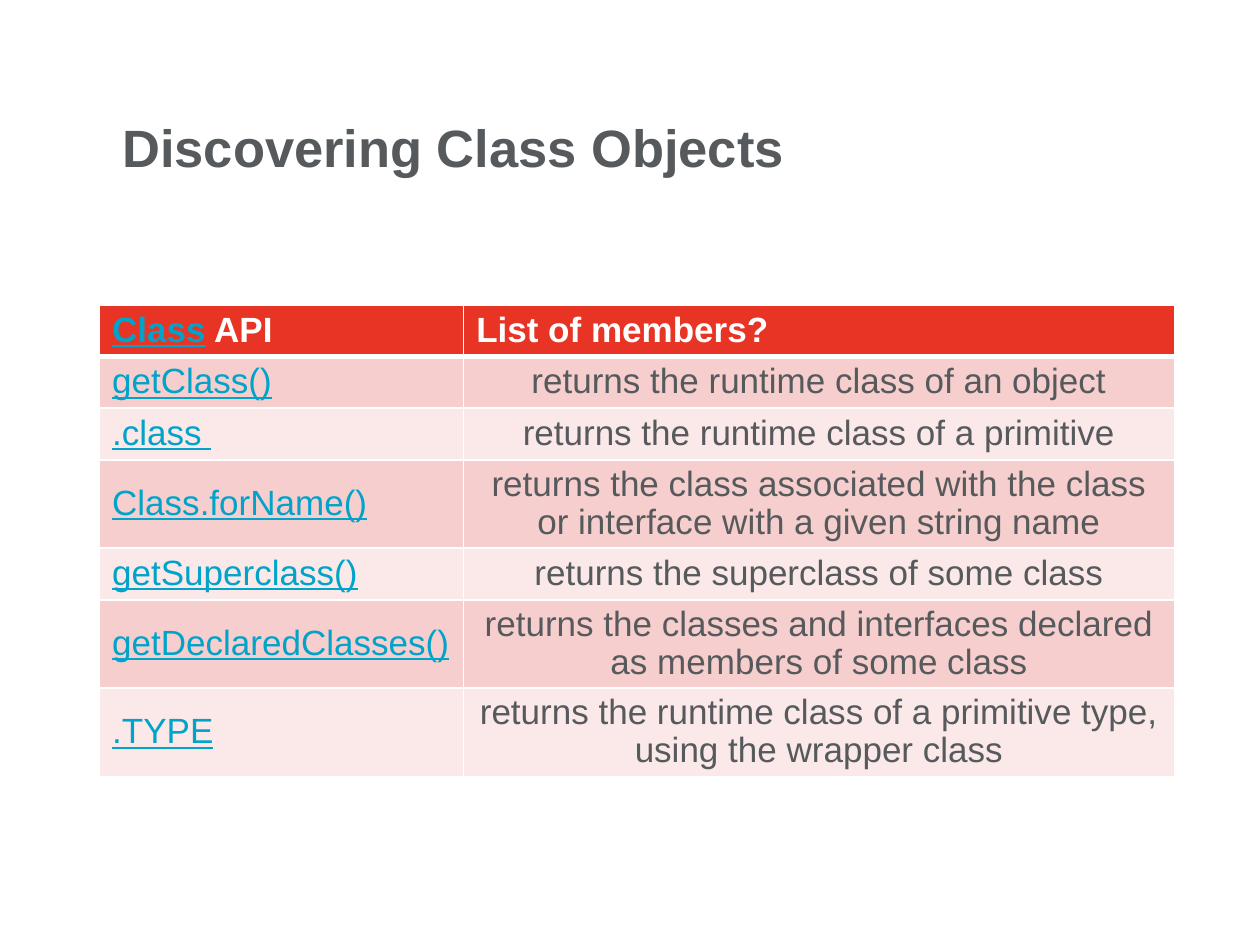
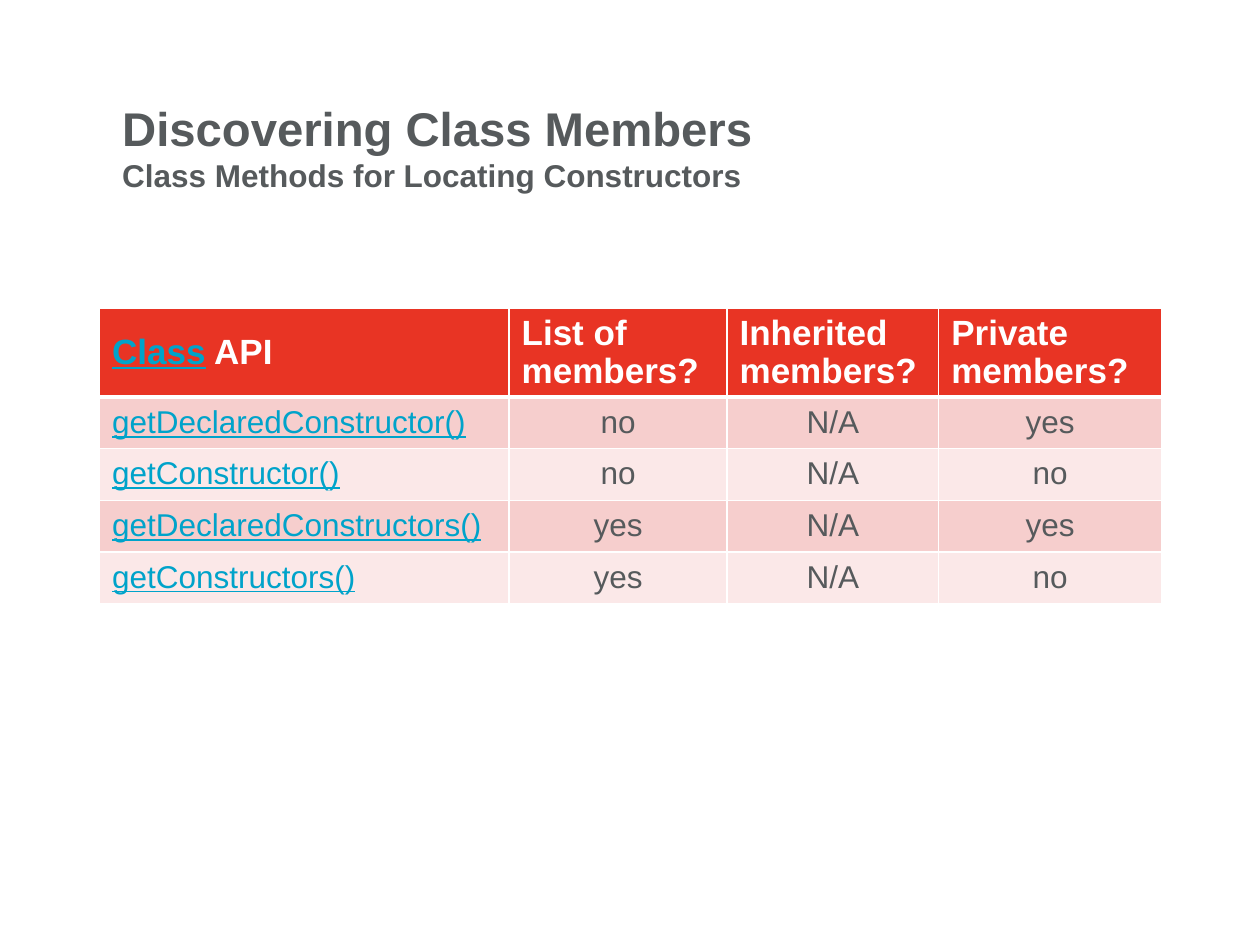
from lxml.etree import SubElement
from pptx import Presentation
from pptx.dml.color import RGBColor
from pptx.enum.text import MSO_ANCHOR, MSO_AUTO_SIZE, PP_ALIGN
from pptx.oxml.ns import qn
from pptx.util import Inches, Pt

WHITE = RGBColor(0xFF, 0xFF, 0xFF)
GRAY = RGBColor(0x56, 0x5A, 0x5C)
LINK_BLUE = RGBColor(0x00, 0xA3, 0xCA)
HEADER_RED = RGBColor(0xE8, 0x34, 0x24)
BANDS = (RGBColor(0xF6, 0xCE, 0xCD), RGBColor(0xFB, 0xE8, 0xE8))

FONT = "Arial"
HEADER_SIZE = 20
TABLE_LEFT = 0.79
ROW_HEIGHT = 0.41
LINE_SPACING = 0.97

CLASS_OBJECT_ROWS = [
    ("Class", "List of members?"),
    ("getClass()", "returns the runtime class of an object"),
    (".class ", "returns the runtime class of a primitive"),
    ("Class.forName()", "returns the class associated with the class "
                        "or interface with a given string name"),
    ("getSuperclass()", "returns the superclass of some class"),
    ("getDeclaredClasses()", "returns the classes and interfaces declared "
                             "as members of some class"),
    (".TYPE", "returns the runtime class of a primitive type, "
              "using the wrapper class"),
]

CONSTRUCTOR_ROWS = [
    ("Class", "List of members?", "Inherited members?", "Private members?"),
    ("getDeclaredConstructor()", "no", "N/A", "yes"),
    ("getConstructor()", "no", "N/A", "no"),
    ("getDeclaredConstructors()", "yes", "N/A", "yes"),
    ("getConstructors()", "yes", "N/A", "no"),
]


def set_font(font, size, color, bold):
    """Apply the shared typeface with a size, colour and weight."""
    font.name = FONT
    font.size = Pt(size)
    font.color.rgb = color
    font.bold = bold


def add_titled_slide(presentation, title, size, subtitle=None):
    """Add a slide with a title and, below it, an optional smaller line."""
    slide = presentation.slides.add_slide(presentation.slide_layouts[5])
    shape = slide.shapes.title
    shape.left, shape.top = Inches(0.93), Inches(0.84)
    shape.width, shape.height = Inches(6.17), Inches(0.65)
    shape.fill.solid()
    shape.fill.fore_color.rgb = WHITE

    frame = shape.text_frame
    frame.auto_size = MSO_AUTO_SIZE.NONE
    frame.word_wrap = True
    frame.vertical_anchor = MSO_ANCHOR.MIDDLE
    frame.margin_left = Inches(0.04)
    frame.margin_top = frame.margin_right = frame.margin_bottom = 0

    paragraph = frame.paragraphs[0]
    paragraph.alignment = PP_ALIGN.LEFT
    set_font(paragraph.font, size, GRAY, True)
    paragraph.add_run().text = title
    if subtitle:
        paragraph.add_line_break()
        run = paragraph.add_run()
        run.text = subtitle
        run.font.size = Pt(18)
    return slide


def set_borders(cell, top, bottom):
    """Draw white cell borders; top and bottom widths are in points."""
    properties = cell._tc.get_or_add_tcPr()
    for side, width in (("L", 1), ("R", 1), ("T", top), ("B", bottom)):
        line = SubElement(properties, qn(f"a:ln{side}"), w=str(Pt(width)))
        fill = SubElement(line, qn("a:solidFill"))
        SubElement(fill, qn("a:srgbClr"), val=str(WHITE))


def fill_cell(cell, text, row, column, body_size):
    """Write and format one cell according to its row and column."""
    is_header, is_link = row == 0, column == 0
    set_borders(cell, top=3 if row == 1 else 1, bottom=3 if is_header else 1)
    cell.fill.solid()
    cell.fill.fore_color.rgb = HEADER_RED if is_header else BANDS[(row - 1) % 2]
    cell.vertical_anchor = MSO_ANCHOR.MIDDLE

    paragraph = cell.text_frame.paragraphs[0]
    paragraph.line_spacing = LINE_SPACING
    paragraph.alignment = PP_ALIGN.LEFT if is_header or is_link else PP_ALIGN.CENTER
    size = HEADER_SIZE if is_header else body_size
    color = WHITE if is_header else GRAY
    parts = [(text, is_link)]
    if is_header and is_link:
        parts.append((" API", False))
    for part, linked in parts:
        run = paragraph.add_run()
        run.text = part
        set_font(run.font, size, LINK_BLUE if linked else color, is_header)
        run.font.underline = linked


def add_api_table(slide, rows, top, height, column_widths, body_size):
    """Add a banded table whose first column lists API calls."""
    graphic_frame = slide.shapes.add_table(
        len(rows), len(column_widths), Inches(TABLE_LEFT), Inches(top),
        Inches(sum(column_widths)), Inches(height))
    table = graphic_frame.table
    for column, width in zip(table.columns, column_widths):
        column.width = Inches(width)
    for row_index, texts in enumerate(rows):
        table.rows[row_index].height = Inches(ROW_HEIGHT)
        for column_index, text in enumerate(texts):
            fill_cell(table.cell(row_index, column_index), text,
                      row_index, column_index, body_size)
    graphic_frame.height = Inches(height)


def main():
    """Build both slides and save the presentation."""
    presentation = Presentation()
    presentation.slide_width = Inches(10)
    presentation.slide_height = Inches(7.5)

    slide = add_titled_slide(presentation, "Discovering Class Objects", 30)
    add_api_table(slide, CLASS_OBJECT_ROWS, 2.42, 4.03, (2.89, 5.64), 20)

    slide = add_titled_slide(presentation, "Discovering Class Members", 27,
                             "Class Methods for Locating Constructors")
    add_api_table(slide, CONSTRUCTOR_ROWS, 2.45, 2.39,
                  (3.25, 1.73, 1.68, 1.77), 18)

    presentation.save("out.pptx")


main()
